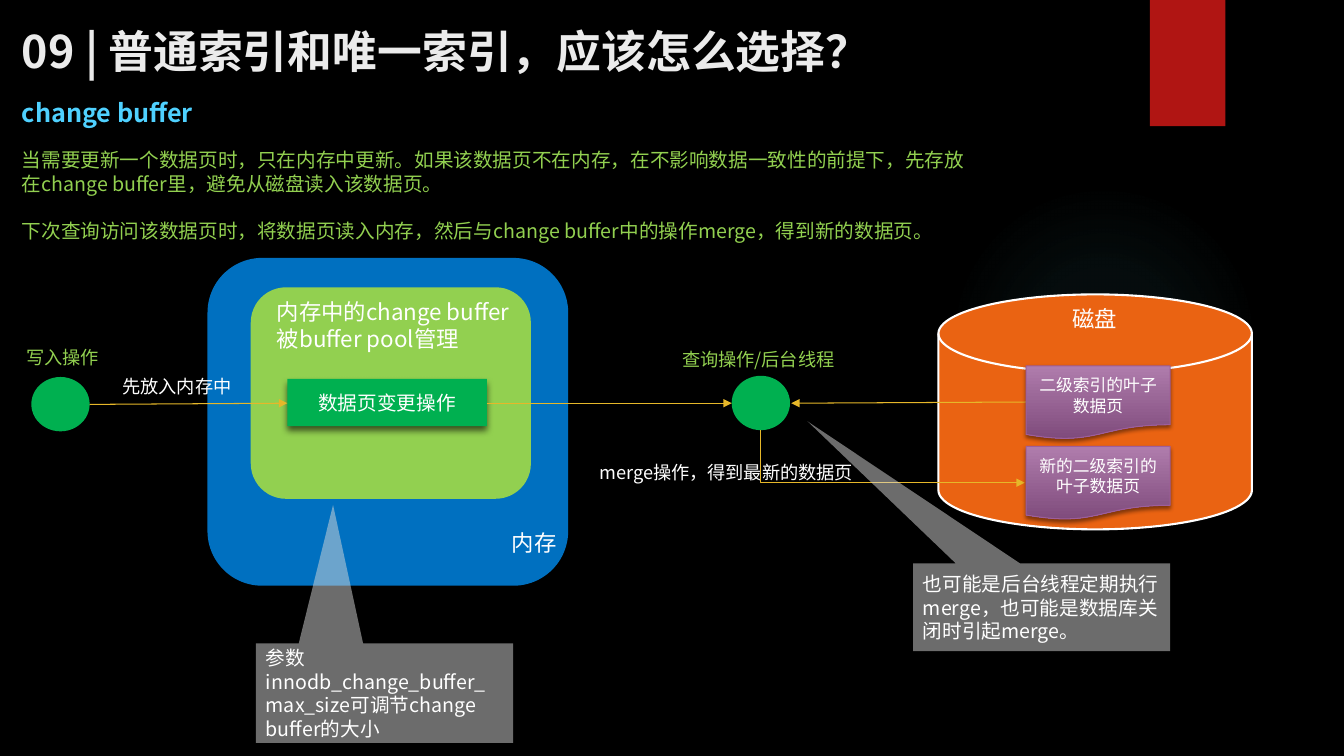
from dataclasses import dataclass

from lxml import etree
from pptx import Presentation
from pptx.dml.color import RGBColor
from pptx.enum.shapes import MSO_CONNECTOR, MSO_SHAPE
from pptx.enum.text import MSO_ANCHOR, MSO_AUTO_SIZE, PP_ALIGN
from pptx.oxml import parse_xml
from pptx.oxml.ns import nsdecls, qn
from pptx.util import Cm, Pt

RECTANGLE = MSO_SHAPE.RECTANGLE
ROUNDED = MSO_SHAPE.ROUNDED_RECTANGLE
ELLIPSE = MSO_SHAPE.OVAL
DISK = MSO_SHAPE.FLOWCHART_MAGNETIC_DISK
DOCUMENT = MSO_SHAPE.FLOWCHART_DOCUMENT
CALLOUT = MSO_SHAPE.RECTANGULAR_CALLOUT
STRAIGHT = MSO_CONNECTOR.STRAIGHT
ELBOW = MSO_CONNECTOR.ELBOW
LEFT = PP_ALIGN.LEFT
CENTER = PP_ALIGN.CENTER
MIDDLE = MSO_ANCHOR.MIDDLE
GROW = MSO_AUTO_SIZE.SHAPE_TO_FIT_TEXT
NO_AUTOFIT = MSO_AUTO_SIZE.NONE


@dataclass(frozen=True)
class Theme:
    font: str = "Noto Sans CJK SC"
    background: str = "000000"
    title: str = "EBEBEB"
    subtitle: str = "4FD1FF"
    white: str = "FFFFFF"
    lime: str = "92D050"
    green: str = "00B050"
    blue: str = "0070C0"
    orange: str = "EA6312"
    red: str = "B01513"
    gold: str = "E6B729"
    gray: str = "D9D9D9"
    glow: str = "50B9C1"
    page_top: str = "AF7CAC"
    page_bottom: str = "7F4B7C"
    page_edge: str = "9E5E9B"
    title_size: int = 32
    subtitle_size: int = 18
    heading_size: int = 16
    body_size: int = 14
    label_size: int = 13
    page_size: int = 12


THEME = Theme()


def rgb(color):
    return RGBColor.from_string(color)


def write_text(shape, lines, size, color, bold=False, align=LEFT, gap=0, **frame_format):
    frame = shape.text_frame
    for name, value in frame_format.items():
        setattr(frame, name, value)
    for index, line in enumerate(lines):
        paragraph = frame.paragraphs[0] if index == 0 else frame.add_paragraph()
        paragraph.alignment = align
        paragraph.space_after = Pt(gap if index < len(lines) - 1 else 0)
        run = paragraph.add_run()
        run.text = line
        run.font.color.rgb = rgb(color)
        font_format = {"name": THEME.font, "size": Pt(size), "bold": bold}
        for name, value in font_format.items():
            setattr(run.font, name, value)
        properties = run._r.get_or_add_rPr()
        etree.SubElement(properties, qn("a:ea"), typeface=THEME.font)


def add_label(slide, box, lines, size, color, wrap=True, **text_format):
    label = slide.shapes.add_textbox(*map(Cm, box))
    write_text(label, lines, size, color, word_wrap=wrap, auto_size=GROW, **text_format)


def add_block(slide, kind, box, fill, line=None, line_width=0.75):
    block = slide.shapes.add_shape(kind, *map(Cm, box))
    block.shadow.inherit = False
    block.fill.solid()
    block.fill.fore_color.rgb = rgb(fill)
    if line:
        block.line.color.rgb = rgb(line)
        block.line.width = Pt(line_width)
    else:
        block.line.fill.background()
    return block


def add_shadow(shape, opacity, blur, distance):
    effects = shape._element.spPr.find(qn("a:effectLst"))
    shadow = etree.SubElement(
        effects, qn("a:outerShdw"), blurRad=str(Pt(blur)), dist=str(Pt(distance)),
        dir="5400000", algn="ctr", rotWithShape="0")
    color = etree.SubElement(shadow, qn("a:srgbClr"), val=THEME.background)
    etree.SubElement(color, qn("a:alpha"), val=str(opacity * 1000))


def add_glow(slide, box):
    glow = add_block(slide, ELLIPSE, box, THEME.glow)
    stops = "".join(
        f'<a:gs pos="{position * 1000}"><a:srgbClr val="{THEME.glow}">'
        f'<a:alpha val="{opacity * 1000}"/></a:srgbClr></a:gs>'
        for position, opacity in ((0, 7), (36, 6), (69, 0), (100, 0)))
    gradient = parse_xml(
        f'<a:gradFill {nsdecls("a")}><a:gsLst>{stops}</a:gsLst><a:path path="circle">'
        '<a:fillToRect l="50000" t="50000" r="50000" b="50000"/></a:path></a:gradFill>')
    properties = glow._element.spPr
    properties.replace(properties.find(qn("a:solidFill")), gradient)


def add_page(slide, box, text):
    page = add_block(slide, DOCUMENT, box, THEME.page_top, THEME.page_edge)
    page.fill.gradient()
    page.fill.gradient_angle = 270
    stops = page.fill.gradient_stops
    for stop, position, color in zip(stops, (0, 1), (THEME.page_top, THEME.page_bottom)):
        stop.position = position
        stop.color.rgb = rgb(color)
    add_shadow(page, 45, 3, 2)
    write_text(page, [text], THEME.page_size, THEME.white, align=CENTER,
               word_wrap=True, vertical_anchor=MIDDLE)


def add_callout(slide, box, pointer, text):
    callout = add_block(slide, CALLOUT, box, THEME.gray)
    for index, value in enumerate(pointer):
        callout.adjustments[index] = value
    color = callout._element.spPr.find(qn("a:solidFill"))[0]
    etree.SubElement(color, qn("a:alpha"), val="50000")
    write_text(callout, [text], THEME.body_size, THEME.white,
               word_wrap=True, vertical_anchor=MIDDLE)


def add_arrow(slide, start, end, kind=STRAIGHT):
    arrow = slide.shapes.add_connector(kind, *map(Cm, start + end))
    arrow.line.color.rgb = rgb(THEME.gold)
    arrow.line.width = Pt(0.75)
    properties = arrow._element.spPr
    etree.SubElement(properties.find(qn("a:ln")), qn("a:tailEnd"), type="triangle")
    etree.SubElement(properties, qn("a:effectLst"))
    return arrow


def add_corner_arrow(slide, start, end):
    arrow = add_arrow(slide, start, end, ELBOW)
    properties = arrow._element.spPr
    properties.find(qn("a:prstGeom")).set("prst", "bentConnector2")
    properties.find(qn("a:xfrm")).set("rot", "16200000")


def add_title(slide, box, text):
    title = slide.shapes.title
    for name, value in zip(("left", "top", "width", "height"), box):
        setattr(title, name, Cm(value))
    write_text(title, [text], THEME.title_size, THEME.title, bold=True,
               word_wrap=True, auto_size=NO_AUTOFIT, vertical_anchor=MIDDLE)


def main():
    presentation = Presentation()
    presentation.slide_width, presentation.slide_height = Cm(33.87), Cm(19.05)
    slide = presentation.slides.add_slide(presentation.slide_layouts[5])
    slide.background.fill.solid()
    slide.background.fill.fore_color.rgb = rgb(THEME.background)

    add_glow(slide, (23.9, 4.65, 7.82, 7.82))
    ribbon = add_block(slide, RECTANGLE, (28.98, 0, 1.9, 3.18), THEME.red)
    add_shadow(ribbon, 45, 3, 2)
    add_title(slide, (0.3, 0.43, 30.96, 1.68), "09 | 普通索引和唯一索引，应该怎么选择？")
    add_label(slide, (0.3, 2.34, 5.03, 1.02), ["change buffer"],
              THEME.subtitle_size, THEME.subtitle, wrap=False, bold=True)
    add_label(slide, (0.3, 3.61, 24.66, 2.64), [
        "当需要更新一个数据页时，只在内存中更新。如果该数据页不在内存，在不影响数据一致性的前提下，"
        "先存放在change buffer里，避免从磁盘读入该数据页。",
        "下次查询访问该数据页时，将数据页读入内存，然后与change buffer中的操作merge，得到新的数据页。",
    ], THEME.body_size, THEME.lime, gap=17)

    add_block(slide, ROUNDED, (5.23, 6.5, 9.09, 8.26), THEME.blue)
    add_block(slide, ROUNDED, (6.32, 7.24, 7.06, 5.33), THEME.lime)
    change = add_block(slide, RECTANGLE, (7.24, 9.55, 5.03, 1.19), THEME.green)
    add_shadow(change, 60, 5, 3)
    write_text(change, ["数据页变更操作"], THEME.body_size, THEME.white, align=CENTER,
               word_wrap=True, vertical_anchor=MIDDLE)
    add_label(slide, (6.73, 7.39, 6.6, 1.63), ["内存中的change buffer", "被buffer pool管理"],
              THEME.heading_size, THEME.white)
    add_label(slide, (12.65, 13.21, 2.03, 0.94), ["内存"], THEME.heading_size, THEME.white)

    add_block(slide, DISK, (23.65, 7.42, 7.9, 5.92), THEME.orange, THEME.white, 1.5)
    add_label(slide, (26.49, 7.57, 2.18, 0.94), ["磁盘"],
              THEME.heading_size, THEME.white, align=CENTER)

    for left, top in ((0.79, 9.5), (18.44, 9.47)):
        add_block(slide, ELLIPSE, (left, top, 1.47, 1.37), THEME.green)
    for start, end in (
        ((2.26, 10.19), (7.24, 10.16)),
        ((12.27, 10.16), (18.44, 10.16)),
        ((25.86, 10.13), (19.94, 10.16)),
    ):
        add_arrow(slide, start, end)
    for left, top, width, text, color, wrap in (
        (2.84, 9.32, 3.3, "先放入内存中", THEME.white, False),
        (14.86, 11.51, 7.04, "merge操作，得到最新的数据页", THEME.white, False),
        (0.41, 8.61, 2.36, "写入操作", THEME.lime, False),
        (16.94, 8.64, 4.42, "查询操作/后台线程", THEME.lime, True),
    ):
        add_label(slide, (left, top, width, 0.81), [text], THEME.label_size, color, wrap)
    add_corner_arrow(slide, (23.16, 8.18), (21.84, 14.83))

    add_callout(slide, (23.01, 14.2, 6.48, 2.21), (-0.91, -2.12),
                "也可能是后台线程定期执行merge，也可能是数据库关闭时引起merge。")
    add_callout(slide, (6.45, 16.21, 6.48, 2.51), (-0.2, -1.89),
                "参数innodb_change_buffer_max_size可调节change buffer的大小")
    for top, text in ((9.22, "二级索引的叶子数据页"), (11.25, "新的二级索引的叶子数据页")):
        add_page(slide, (25.86, top, 3.63, 1.85), text)

    presentation.save("out.pptx")


main()
